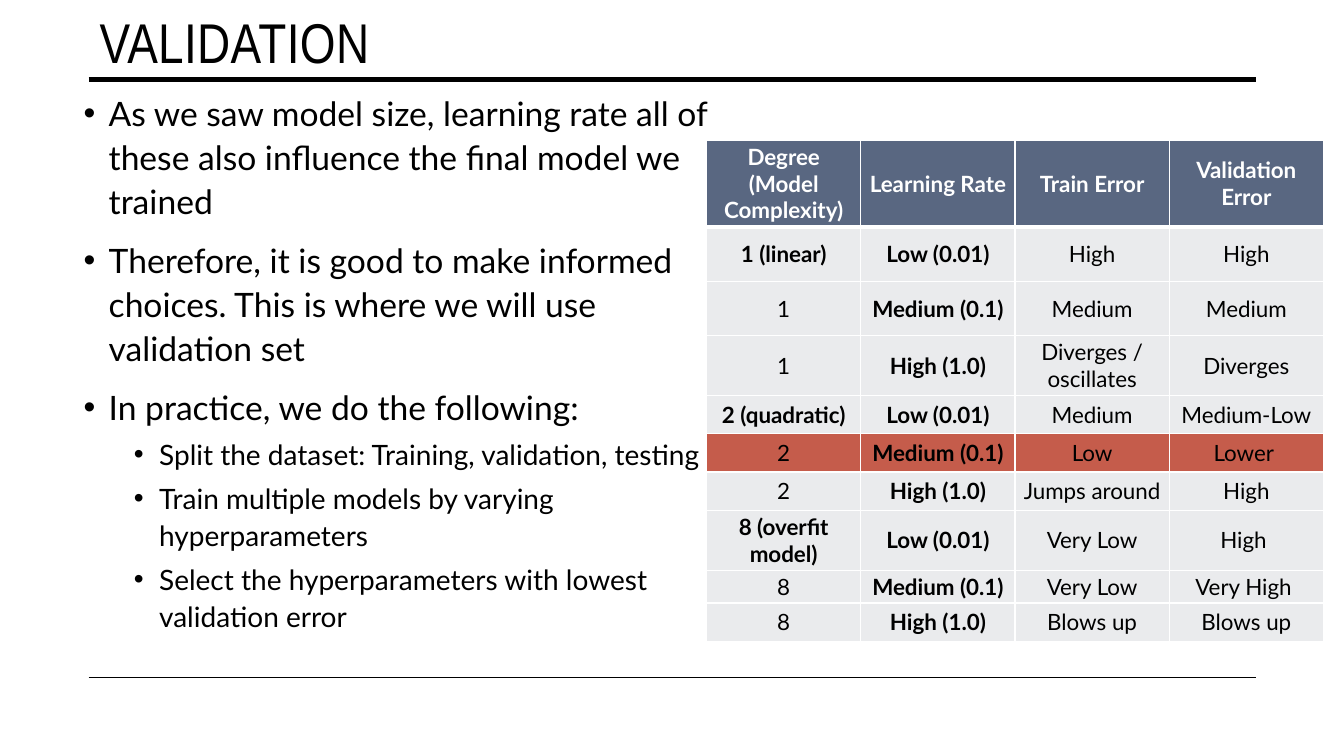
from dataclasses import dataclass

from lxml import etree
from pptx import Presentation
from pptx.dml.color import RGBColor
from pptx.enum.shapes import MSO_CONNECTOR
from pptx.enum.text import MSO_ANCHOR, PP_ALIGN
from pptx.oxml.ns import qn
from pptx.util import Emu, Inches, Pt

STRAIGHT = MSO_CONNECTOR.STRAIGHT
TOP, MIDDLE = MSO_ANCHOR.TOP, MSO_ANCHOR.MIDDLE
LEFT, CENTER = PP_ALIGN.LEFT, PP_ALIGN.CENTER

COLORS = {
    "ink": "000000",
    "paper": "FFFFFF",
    "header": "596781",
    "row": "EAEBED",
    "chosen": "C55C4B",
}
BODY_FONT = "Lato"
WIDTH, HEIGHT = Inches(13.33), Inches(7.5)
GRID_COLUMNS, GRID_ROWS = 160, 90


@dataclass(frozen=True)
class Area:
    left: float
    top: float
    width: float
    height: float


@dataclass(frozen=True)
class Rule:
    row: float
    weight: float


@dataclass(frozen=True)
class Level:
    indent: float
    size: float
    space_before: float


@dataclass(frozen=True)
class Bullet:
    text: str
    level: int = 0


@dataclass(frozen=True)
class TableRow:
    height: float
    cells: tuple[str, str, str, str]
    fill: str = "row"


RULE_START, RULE_END = 10.56, 149.52
RULES = (Rule(9.48, 3.5), Rule(80.64, 1))
TITLE_AREA = Area(10.68, 0, 138.84, 9.72)
BODY_AREA = Area(8.76, 9.96, 79.8, 70.2)
HANGING = 3
LEVELS = (Level(3, 24, 10), Level(9, 20, 5))

BULLETS = (
    Bullet("As we saw model size, learning rate all of these also influence the final model we trained"),
    Bullet("Therefore, it is good to make informed choices. This is where we will use validation set"),
    Bullet("In practice, we do the following:"),
    Bullet("Split the dataset: Training, validation, testing", 1),
    Bullet("Train multiple models by varying hyperparameters", 1),
    Bullet("Select the hyperparameters with lowest validation error", 1),
)

TABLE_LEFT, TABLE_TOP, TABLE_COLUMN = 84.12, 16.68, 18.36
TABLE_ROWS = (
    TableRow(10.08, ("Degree (Model Complexity)", "Learning Rate", "Train Error", "Validation Error"), "header"),
    TableRow(6.48, ("1 (linear)", "Low (0.01)", "High", "High")),
    TableRow(6.48, ("1", "Medium (0.1)", "Medium", "Medium")),
    TableRow(7.02, ("1", "High (1.0)", "Diverges / oscillates", "Diverges")),
    TableRow(4.56, ("2 (quadratic)", "Low (0.01)", "Medium", "Medium-Low")),
    TableRow(4.56, ("2", "Medium (0.1)", "Low", "Lower "), "chosen"),
    TableRow(4.56, ("2", "High (1.0)", "Jumps around", "High")),
    TableRow(7.02, ("8 (overfit model)", "Low (0.01)", "Very Low", "High ")),
    TableRow(3.84, ("8", "Medium (0.1)", "Very Low", "Very High ")),
    TableRow(4.56, ("8", "High (1.0)", "Blows up", "Blows up")),
)


def across(columns: float) -> Emu:
    return Emu(round(WIDTH * columns / GRID_COLUMNS))


def down(rows: float) -> Emu:
    return Emu(round(HEIGHT * rows / GRID_ROWS))


def color(name: str) -> RGBColor:
    return RGBColor.from_string(COLORS[name])


def write_text(para, text: str, *, size: float, font: str = BODY_FONT, ink: str = "ink",
               bold: bool = False, align=LEFT, spacing: float = 0) -> None:
    para.alignment = align
    span = para.add_run()
    span.text = text
    span.font.size = Pt(size)
    span.font.name = font
    span.font.bold = bold
    span.font.color.rgb = color(ink)
    if spacing:
        span.font._element.set("spc", str(round(spacing * 100)))


def add_text_frame(page, area: Area, anchor):
    box = page.shapes.add_textbox(across(area.left), down(area.top), across(area.width), down(area.height))
    frame = box.text_frame
    frame.word_wrap = True
    frame.vertical_anchor = anchor
    return frame


def draw_rule(page, rule: Rule) -> None:
    line = page.shapes.add_connector(
        STRAIGHT, across(RULE_START), down(rule.row), across(RULE_END), down(rule.row))
    line.line.color.rgb = color("ink")
    line.line.width = Pt(rule.weight)
    etree.SubElement(line._element.spPr, qn("a:effectLst"))


def set_bullet(para, level: Level) -> None:
    properties = para._p.get_or_add_pPr()
    properties.set("marL", str(across(level.indent)))
    properties.set("indent", str(-across(HANGING)))
    etree.SubElement(properties, qn("a:buFont")).set("typeface", "Arial")
    etree.SubElement(properties, qn("a:buChar")).set("char", "•")


def draw_bullets(page) -> None:
    frame = add_text_frame(page, BODY_AREA, TOP)
    for index, bullet in enumerate(BULLETS):
        para = frame.add_paragraph() if index else frame.paragraphs[0]
        level = LEVELS[bullet.level]
        set_bullet(para, level)
        para.level = bullet.level
        para.line_spacing = 1.1
        if index:
            para.space_before = Pt(level.space_before)
        write_text(para, bullet.text, size=level.size)


def set_border(cell, side: str, weight: float) -> None:
    border = etree.SubElement(cell._tc.get_or_add_tcPr(), qn(f"a:ln{side}"), w=str(Pt(weight)))
    fill = etree.SubElement(border, qn("a:solidFill"))
    etree.SubElement(fill, qn("a:srgbClr"), val=COLORS["paper"])


def draw_table(page) -> None:
    column_count = len(TABLE_ROWS[0].cells)
    total_height = sum(row.height for row in TABLE_ROWS)
    table = page.shapes.add_table(
        len(TABLE_ROWS), column_count, across(TABLE_LEFT), down(TABLE_TOP),
        across(TABLE_COLUMN * column_count), down(total_height)).table
    table.horz_banding = False
    for row_index, row in enumerate(TABLE_ROWS):
        table.rows[row_index].height = down(row.height)
        is_header = row.fill == "header"
        weights = {"L": 1, "R": 1, "T": 3 if row_index == 1 else 1, "B": 3 if is_header else 1}
        for column_index, text in enumerate(row.cells):
            cell = table.cell(row_index, column_index)
            cell.vertical_anchor = MIDDLE
            cell.margin_left = cell.margin_right = across(0.6)
            cell.margin_top = cell.margin_bottom = down(0.36)
            for side, weight in weights.items():
                set_border(cell, side, weight)
            cell.fill.solid()
            cell.fill.fore_color.rgb = color(row.fill)
            names_model = column_index == 0 and "(" in text
            write_text(cell.text_frame.paragraphs[0], text, size=16, align=CENTER,
                       ink="paper" if is_header else "ink",
                       bold=is_header or column_index == 1 or names_model)


def main() -> None:
    deck = Presentation()
    deck.slide_width, deck.slide_height = WIDTH, HEIGHT
    page = deck.slides.add_slide(deck.slide_layouts[6])
    for rule in RULES:
        draw_rule(page, rule)
    title = add_text_frame(page, TITLE_AREA, MIDDLE)
    write_text(title.paragraphs[0], "VALIDATION", size=40, font="Arial Narrow", spacing=0.3)
    draw_bullets(page)
    draw_table(page)
    deck.save("out.pptx")


if __name__ == "__main__":
    main()
